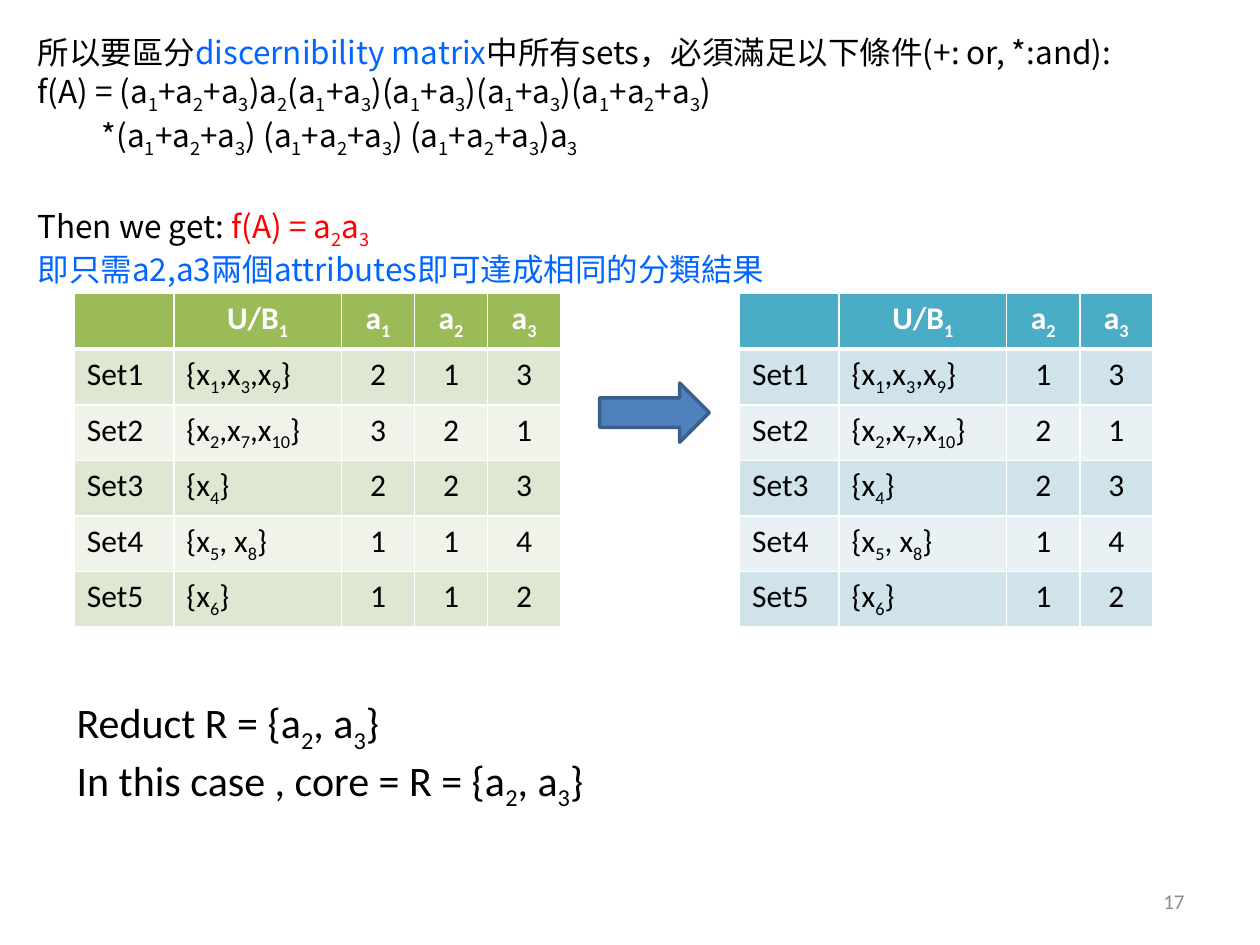
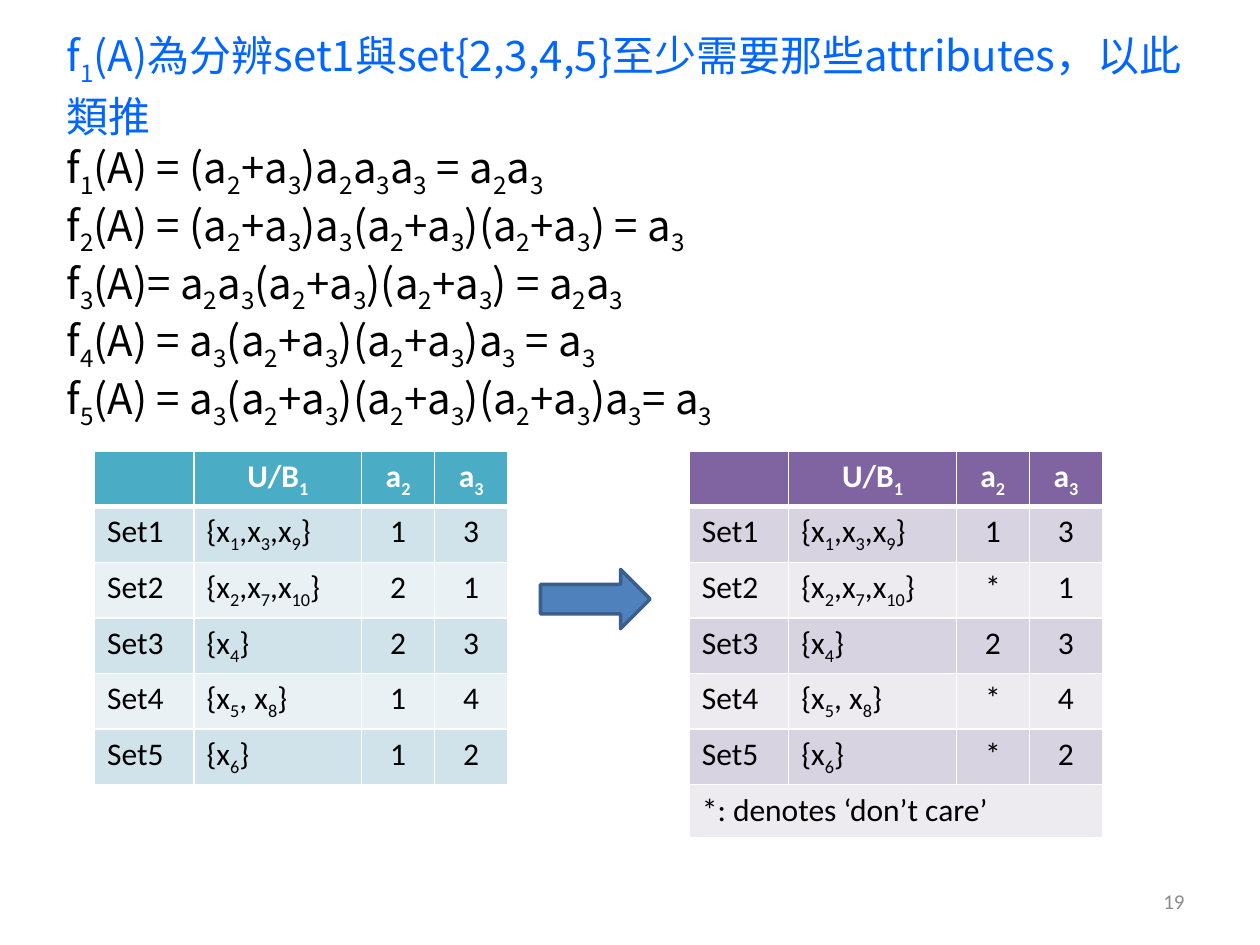
from dataclasses import dataclass
from typing import NamedTuple

import lxml.etree
import pptx
import pptx.dml.color
import pptx.enum.shapes
import pptx.enum.text
import pptx.oxml.ns
import pptx.util

# Slide grid: 100 columns by 75 rows of equal units
SLIDE_WIDTH = pptx.util.Inches(10)
SLIDE_HEIGHT = pptx.util.Inches(7.5)
UNIT = SLIDE_WIDTH // 100

COLORS = {
    "black": "000000", "white": "FFFFFF", "blue": "0066FF", "red": "FF0000",
    "page": "8C8C8C", "arrow": "4F81BD", "arrow_edge": "3A5F8C",
    "green_head": "9BBB59", "green_odd": "DEE7D1", "green_even": "EFF3EA",
    "teal_head": "4BACC6", "teal_odd": "D0E3EA", "teal_even": "E9F1F5",
    "purple_head": "8064A2", "purple_odd": "D8D3E0", "purple_even": "EDEAF0",
}
BODY_FONT = "Calibri"
FORMULA_FONT = "Noto Sans CJK SC"
ALIGN = pptx.enum.text.PP_ALIGN

# Table columns in grid units
LABEL_WIDTH, OBJECTS_WIDTH, ATTRIBUTE_WIDTH, ROW_HEIGHT = 7.9, 13.3, 5.8, 4.18
OBJECTS = ["{x_1,x_3,x_9}", "{x_2,x_7,x_10}", "{x_4}", "{x_5, x_8}", "{x_6}"]
A1, A2, A3 = "23211", "12211", "31342"
A2_REDUCED = "1*2**"


class Box(NamedTuple):
    left: float
    top: float
    width: float
    height: float


class Span(NamedTuple):
    text: str
    color: str = "black"


@dataclass
class Line:
    spans: list[Span]
    pitch: float | None = None
    before: float = 0
    indent: float = 0
    align: ALIGN = ALIGN.LEFT


@dataclass
class SetTable:
    left: float
    top: float
    palette: str
    attributes: dict[str, str]
    footnote: str = ""


def units(count: float) -> int:
    return round(count * UNIT)


def rgb(name: str) -> pptx.dml.color.RGBColor:
    return pptx.dml.color.RGBColor.from_string(COLORS[name])


def split_subscripts(text: str) -> list[tuple[str, bool]]:
    """Turn 'a_1+a_2' into pieces, each flagged as subscript or not."""
    first, *rest = text.split("_")
    pieces = [(first, False)]
    for part in rest:
        tail = part.lstrip("0123456789")
        pieces.append((part[:len(part) - len(tail)], True))
        pieces.append((tail, False))
    return [piece for piece in pieces if piece[0]]


def fill_paragraph(paragraph, line: Line, size: float, font: str,
                   bold: bool = False) -> None:
    paragraph.alignment = line.align
    if line.pitch:
        paragraph.line_spacing = pptx.util.Pt(line.pitch)
    if line.before:
        paragraph.space_before = pptx.util.Pt(line.before)
    if line.indent:
        paragraph._p.get_or_add_pPr().set("marL", str(units(line.indent)))
    paragraph.font.name = font
    paragraph.font.size = pptx.util.Pt(size)
    paragraph.font.bold = bold
    shared_color = len({span.color for span in line.spans}) == 1
    if shared_color:
        paragraph.font.color.rgb = rgb(line.spans[0].color)
    for span in line.spans:
        for text, lowered in split_subscripts(span.text):
            run = paragraph.add_run()
            run.text = text
            if lowered:
                run.font._element.set("baseline", "-25000")
            if not shared_color:
                run.font.color.rgb = rgb(span.color)


def add_text(slide, box: Box, lines: list[Line], size: float,
             font: str = BODY_FONT, middle: bool = False) -> None:
    frame = slide.shapes.add_textbox(*map(units, box)).text_frame
    frame.word_wrap = True
    if middle:
        frame.vertical_anchor = pptx.enum.text.MSO_ANCHOR.MIDDLE
    for index, line in enumerate(lines):
        paragraph = frame.add_paragraph() if index else frame.paragraphs[0]
        fill_paragraph(paragraph, line, size, font)


def set_borders(cell, top: float, bottom: float) -> None:
    properties = cell._tc.get_or_add_tcPr()
    edges = {"lnL": 1, "lnR": 1, "lnT": top, "lnB": bottom}
    for position, (tag, points) in enumerate(edges.items()):
        edge = lxml.etree.Element(pptx.oxml.ns.qn(f"a:{tag}"),
                                  w=str(pptx.util.Pt(points)))
        fill = lxml.etree.SubElement(edge, pptx.oxml.ns.qn("a:solidFill"))
        lxml.etree.SubElement(fill, pptx.oxml.ns.qn("a:srgbClr"),
                              val=COLORS["white"])
        properties.insert(position, edge)


def add_set_table(slide, spec: SetTable) -> None:
    rows = [["", "U/B_1", *spec.attributes]]
    for index, objects in enumerate(OBJECTS):
        values = [column[index] for column in spec.attributes.values()]
        rows.append([f"Set{index + 1}", objects, *values])
    if spec.footnote:
        rows.append([spec.footnote] + [""] * (len(rows[0]) - 1))
    widths = [LABEL_WIDTH, OBJECTS_WIDTH]
    widths += [ATTRIBUTE_WIDTH] * len(spec.attributes)
    box = Box(spec.left, spec.top, sum(widths), ROW_HEIGHT * len(rows))
    table = slide.shapes.add_table(len(rows), len(widths),
                                   *map(units, box)).table
    for column, width in zip(table.columns, widths):
        column.width = units(width)
    for r, row in enumerate(rows):
        band = "head" if r == 0 else "odd" if r % 2 else "even"
        for c, text in enumerate(row):
            cell = table.cell(r, c)
            cell.fill.solid()
            cell.fill.fore_color.rgb = rgb(f"{spec.palette}_{band}")
            set_borders(cell, 3 if r == 1 else 1, 3 if r == 0 else 1)
            centred = r == 0 or c > 1
            line = Line([Span(text, "black" if r else "white")],
                        align=ALIGN.CENTER if centred else ALIGN.LEFT)
            fill_paragraph(cell.text_frame.paragraphs[0], line, 18,
                           BODY_FONT, bold=r == 0)
    if spec.footnote:
        table.cell(len(rows) - 1, 0).merge(
            table.cell(len(rows) - 1, len(widths) - 1))


def add_arrow(slide, left: float, top: float) -> None:
    arrow = slide.shapes.add_shape(
        pptx.enum.shapes.MSO_SHAPE.RIGHT_ARROW,
        *map(units, Box(left, top, 8.7, 4.7)))
    arrow.shadow.inherit = False
    arrow.fill.solid()
    arrow.fill.fore_color.rgb = rgb("arrow")
    arrow.line.color.rgb = rgb("arrow_edge")
    arrow.line.width = pptx.util.Pt(2)


def add_page_number(slide, number: int) -> None:
    line = Line([Span(str(number), "page")], align=ALIGN.RIGHT)
    add_text(slide, Box(71.7, 69.5, 23.3, 4), [line], 12, middle=True)


def build_reduct_slide(slide) -> None:
    # Discernibility function
    add_text(slide, Box(2, 2.1, 96.1, 18.4), [
        Line([Span("所以要區分"), Span("discernibility matrix", "blue"),
              Span("中所有sets，必須滿足以下條件(+: or, *:and):")], pitch=22),
        Line([Span("f(A) = (a_1+a_2+a_3)a_2(a_1+a_3)(a_1+a_3)(a_1+a_3)"
                   "(a_1+a_2+a_3)")], pitch=25),
        Line([Span("*(a_1+a_2+a_3) (a_1+a_2+a_3) (a_1+a_2+a_3)a_3")],
             pitch=25, indent=5.1),
        Line([Span("Then we get: "), Span("f(A) = a_2a_3", "red")],
             pitch=25, before=27),
        Line([Span("即只需a2,a3兩個attributes即可達成相同的分類結果", "blue")],
             pitch=22),
    ], 18, FORMULA_FONT)
    # Full table and its reduct
    add_set_table(slide, SetTable(5.9, 23.3, "green",
                                  {"a_1": A1, "a_2": A2, "a_3": A3}))
    add_set_table(slide, SetTable(58.7, 23.3, "teal",
                                  {"a_2": A2, "a_3": A3}))
    add_arrow(slide, 47.6, 30.4)
    # Conclusion
    add_text(slide, Box(5.1, 54.8, 88.2, 9.1), [
        Line([Span("Reduct R = {a_2, a_3}")]),
        Line([Span("In this case , core = R = {a_2, a_3}")]),
    ], 24)
    add_page_number(slide, 17)


def build_set_functions_slide(slide) -> None:
    # One function per set
    functions = [
        "f_1(A) = (a_2+a_3)a_2a_3a_3 = a_2a_3",
        "f_2(A) = (a_2+a_3)a_3(a_2+a_3)(a_2+a_3) = a_3",
        "f_3(A)= a_2a_3(a_2+a_3)(a_2+a_3) = a_2a_3",
        "f_4(A) = a_3(a_2+a_3)(a_2+a_3)a_3 = a_3",
        "f_5(A) = a_3(a_2+a_3)(a_2+a_3)(a_2+a_3)a_3= a_3",
    ]
    purpose = Span("f_1(A)為分辨set1與set{2,3,4,5}至少需要那些attributes，以此類推",
                   "blue")
    add_text(slide, Box(4.3, 2.1, 90.6, 29.3),
             [Line([purpose], pitch=31)]
             + [Line([Span(text)], pitch=33) for text in functions],
             24, FORMULA_FONT)
    # Reduct and its simplified rules
    add_set_table(slide, SetTable(54.7, 35.8, "purple",
                                  {"a_2": A2_REDUCED, "a_3": A3},
                                  "*: denotes ‘don’t care’"))
    add_set_table(slide, SetTable(7.5, 35.8, "teal",
                                  {"a_2": A2, "a_3": A3}))
    add_arrow(slide, 42.9, 45.2)
    add_page_number(slide, 19)


def main() -> None:
    deck = pptx.Presentation()
    deck.slide_width, deck.slide_height = SLIDE_WIDTH, SLIDE_HEIGHT
    for build in (build_reduct_slide, build_set_functions_slide):
        build(deck.slides.add_slide(deck.slide_layouts[6]))
    deck.save("out.pptx")


if __name__ == "__main__":
    main()
